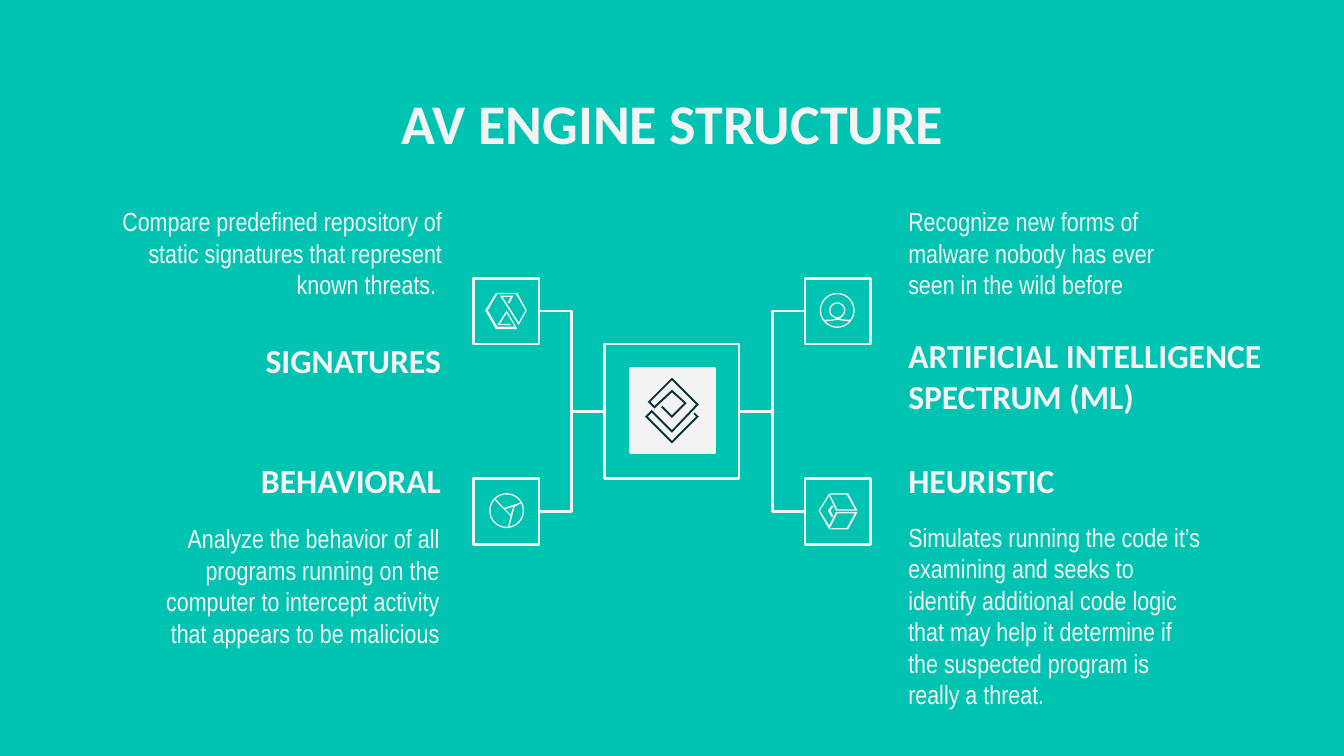
from math import cos, radians, sin

from lxml import etree
from pptx import Presentation
from pptx.dml.color import RGBColor
from pptx.enum.shapes import MSO_CONNECTOR as CONN, MSO_SHAPE as SHAPE
from pptx.enum.text import MSO_ANCHOR as ANCHOR, PP_ALIGN as ALIGN
from pptx.oxml.ns import qn
from pptx.util import Inches, Pt

TEAL = RGBColor(0x00, 0xC3, 0xB1)
PALE = RGBColor(0xF3, 0xF3, 0xF3)
NAVY = RGBColor(0x0C, 0x34, 0x3D)

HEAD, BODY = "Calibri", "Arial Narrow"
LEFT_X, RIGHT_X = 3.52, 5.99
TOP_Y, BOTTOM_Y = 2.07, 3.56
BOX = 0.49


def add_text(slide, text, x, y, w, h, font, size, align=ALIGN.LEFT, anchor=ANCHOR.TOP):
    tf = slide.shapes.add_textbox(Inches(x), Inches(y), Inches(w), Inches(h)).text_frame
    tf.word_wrap = True
    tf.vertical_anchor = anchor
    tf.margin_left = tf.margin_right = tf.margin_top = tf.margin_bottom = Inches(0.1)
    p = tf.paragraphs[0]
    p.text = text
    p.alignment = align
    p.font.name = font
    p.font.size = Pt(size)
    p.font.bold = font == HEAD
    p.font.color.rgb = PALE


def add_square(slide, x, y, size, filled=False):
    s = slide.shapes.add_shape(SHAPE.RECTANGLE, Inches(x), Inches(y), Inches(size), Inches(size))
    s.shadow.inherit = False
    if filled:
        s.fill.solid()
        s.fill.fore_color.rgb = PALE
    else:
        s.fill.background()
    s.line.color.rgb = PALE
    s.line.width = Pt(1.5)
    return s


def add_elbow(slide, box, box_site, core, core_site):
    c = slide.shapes.add_connector(CONN.ELBOW, 0, 0, 0, 0)
    c.begin_connect(box, box_site)
    c.end_connect(core, core_site)
    c.line.color.rgb = PALE
    c.line.width = Pt(1.5)
    etree.SubElement(c._element.spPr, qn("a:effectLst"))


def add_icon(slide, contours, color=PALE):
    """Draw closed contours as one shape; inner contours become holes."""
    builder = None
    for contour in contours:
        start, *rest = [(Inches(x), Inches(y)) for x, y in contour]
        if builder is None:
            builder = slide.shapes.build_freeform(*start)
        else:
            builder.move_to(*start)
        builder.add_line_segments(rest, close=True)
    s = builder.convert_to_shape()
    s.shadow.inherit = False
    s.fill.solid()
    s.fill.fore_color.rgb = color
    s.line.fill.background()


def arc(cx, cy, r, start=0, end=360, steps=40):
    angles = [radians(start + (end - start) * i / steps) for i in range(steps + 1)]
    return [(cx + r * cos(a), cy + r * sin(a)) for a in angles]


def add_core_icon(slide):
    add_icon(slide, [[
        (5, 2.81), (4.82, 2.99), (4.87, 3.04), (5, 2.92), (5.09, 3), (5, 3.09),
        (4.93, 3.02), (4.92, 3.03), (5, 3.11), (5.11, 3), (5, 2.9), (4.87, 3.02),
        (4.84, 2.99), (5, 2.83), (5.18, 3.01), (5, 3.2), (4.85, 3.05), (4.8, 3.1),
        (5, 3.3), (5.2, 3.1), (5.17, 3.07), (5.16, 3.08), (5.18, 3.1), (5, 3.28),
        (4.82, 3.1), (4.85, 3.07), (5, 3.22), (5.2, 3.01)]], NAVY)


def add_signature_icon(slide):
    add_icon(slide, [[
        (3.69, 2.18), (3.61, 2.31), (3.69, 2.45), (3.85, 2.45), (3.77, 2.31),
        (3.7, 2.42), (3.8, 2.42), (3.8, 2.41), (3.72, 2.41), (3.77, 2.33),
        (3.83, 2.43), (3.7, 2.43), (3.63, 2.31), (3.7, 2.19), (3.84, 2.19),
        (3.91, 2.31), (3.86, 2.4), (3.74, 2.21), (3.8, 2.21), (3.78, 2.25),
        (3.79, 2.26), (3.82, 2.2), (3.72, 2.2), (3.86, 2.42), (3.92, 2.31),
        (3.85, 2.18)]])


def add_heuristic_icon(slide):
    add_icon(slide, [[
        (6.31, 3.67), (6.18, 3.67), (6.18, 3.68), (6.3, 3.68), (6.36, 3.79),
        (6.23, 3.79), (6.17, 3.67), (6.09, 3.8), (6.17, 3.94), (6.23, 3.82),
        (6.36, 3.82), (6.3, 3.93), (6.18, 3.93), (6.18, 3.94), (6.31, 3.94),
        (6.38, 3.81), (6.22, 3.81), (6.17, 3.91), (6.1, 3.8), (6.17, 3.69),
        (6.22, 3.8), (6.38, 3.8)]])
    add_icon(slide, [[
        (6.19, 3.76), (6.16, 3.8), (6.19, 3.85), (6.2, 3.84), (6.18, 3.8), (6.2, 3.77)]])


def add_intelligence_icon(slide):
    cx, cy = 6.23, 2.31
    add_icon(slide, [
        arc(cx, cy, 0.13),
        arc(cx, cy, 0.05),
        arc(cx, cy, 0.12, 145, 395)
        + [(6.29, 2.38), (6.25, 2.37)]
        + arc(cx, cy, 0.06, 45, -225)
        + [(6.22, 2.37), (6.18, 2.38)],
        arc(cx, cy, 0.12, 42, 138)
        + [(6.18, 2.39), (6.23, 2.38), (6.29, 2.39)]])


def add_behavior_icon(slide):
    cx, cy = 3.77, 3.8
    add_icon(slide, [
        arc(cx, cy, 0.13),
        arc(cx, cy, 0.12, 227, 330) + [(3.75, 3.78)],
        [(3.82, 3.77), (3.8, 3.83), (3.76, 3.79)],
        arc(cx, cy, 0.12, -27, 80) + [(3.83, 3.77)],
        arc(cx, cy, 0.12, 85, 222) + [(3.75, 3.79), (3.8, 3.84)]])


def main():
    prs = Presentation()
    prs.slide_width = Inches(10)
    prs.slide_height = Inches(10 * 9 / 16)
    slide = prs.slides.add_slide(prs.slide_layouts[6])
    slide.background.fill.solid()
    slide.background.fill.fore_color.rgb = TEAL

    # Title
    add_text(slide, "AV ENGINE STRUCTURE", 0.79, 0.56, 8.43, 0.63, HEAD, 30, ALIGN.CENTER)

    # Headings
    for text, x, y, w, h, align, anchor in [
        ("SIGNATURES", 0.94, 2.48, 2.44, 0.4, ALIGN.RIGHT, ANCHOR.MIDDLE),
        ("BEHAVIORAL", 0.94, 3.32, 2.44, 0.4, ALIGN.RIGHT, ANCHOR.TOP),
        ("ARTIFICIAL INTELLIGENCE SPECTRUM (ML)", 6.66, 2.48, 2.94, 0.63,
         ALIGN.LEFT, ANCHOR.MIDDLE),
        ("HEURISTIC", 6.66, 3.32, 2.4, 0.4, ALIGN.LEFT, ANCHOR.TOP),
    ]:
        add_text(slide, text, x, y, w, h, HEAD, 18, align, anchor)

    # Descriptions
    for text, x, y, w, h, align in [
        ("Compare predefined repository of static signatures that represent known threats. ",
         0.79, 1.43, 2.6, 0.87, ALIGN.RIGHT),
        ("Analyze the behavior of all programs running on the computer to intercept "
         "activity that appears to be malicious", 0.84, 3.79, 2.53, 0.77, ALIGN.RIGHT),
        ("Recognize new forms of malware nobody has ever seen in the wild before",
         6.66, 1.43, 2.4, 0.49, ALIGN.LEFT),
        ("Simulates running the code it’s examining and seeks to identify additional code "
         "logic that may help it determine if the suspected program is really a threat.",
         6.66, 3.78, 2.4, 0.77, ALIGN.LEFT),
    ]:
        add_text(slide, text, x, y, w, h, BODY, 14, align)

    # Core, with four boxes joined to its sides
    core = add_square(slide, 4.5, 2.56, 1)
    add_square(slide, 4.69, 2.74, 0.63, filled=True)
    for x, box_site, core_site in [(LEFT_X, 3, 1), (RIGHT_X, 1, 3)]:
        for y in (TOP_Y, BOTTOM_Y):
            add_elbow(slide, add_square(slide, x, y, BOX), box_site, core, core_site)

    # Icons
    add_core_icon(slide)
    add_signature_icon(slide)
    add_intelligence_icon(slide)
    add_behavior_icon(slide)
    add_heuristic_icon(slide)

    prs.save("out.pptx")


if __name__ == "__main__":
    main()
